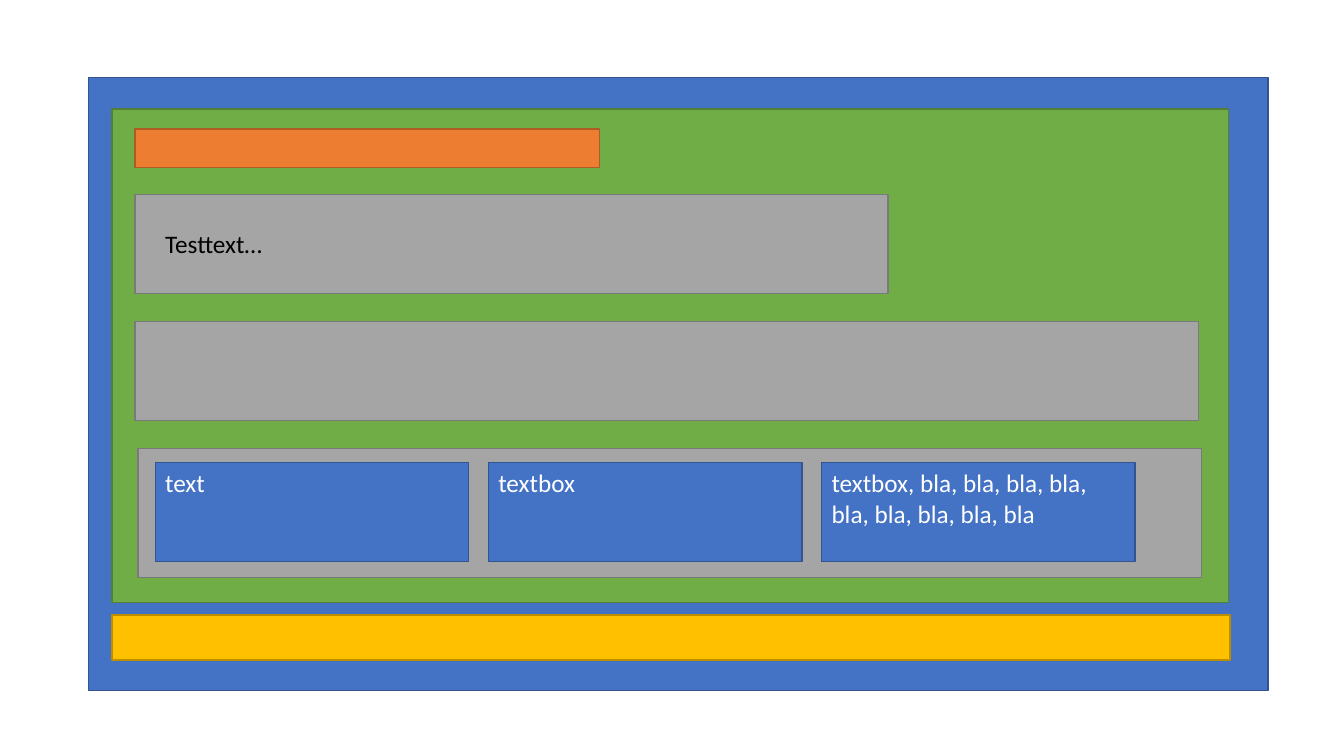
from dataclasses import dataclass

from pptx import Presentation
from pptx.dml.color import RGBColor
from pptx.enum.shapes import MSO_SHAPE
from pptx.enum.text import MSO_ANCHOR, MSO_AUTO_SIZE, PP_ALIGN
from pptx.util import Inches, Pt


@dataclass(frozen=True)
class Theme:
    """Colours as fill and line pairs, and type."""
    blue: tuple = ("4472C4", "325491")
    green: tuple = ("70AD47", "538035")
    grey: tuple = ("A5A5A5", "7A7A7A")
    gold: tuple = ("FFC000", "BD8E00")
    orange: tuple = ("ED7D31", "AF5C24")
    white: str = "FFFFFF"
    black: str = "000000"
    font: str = "Calibri"
    size: int = 18
    line: int = 1


THEME = Theme()
WIDE, HIGH = Inches(13.33), Inches(7.5)
LEFT, INNER = 10.05, 11.55
ROW_TOP, ROW_STEP, ROW_HIGH = 25.73, 16.8, 13.07
CARD_TOP, CARD_STEP, CARD_WIDE = 61.2, 24.79, 23.33
CARDS = ("text", "textbox",
         "textbox, bla, bla, bla, bla, bla, bla, bla, bla, bla")


def place(left, top, width, height):
    """Turn percentages of the slide into lengths."""
    return (round(WIDE * left / 100), round(HIGH * top / 100),
            round(WIDE * width / 100), round(HIGH * height / 100))


def write(frame, text, color=THEME.white, size=THEME.size,
          align=PP_ALIGN.LEFT, anchor=MSO_ANCHOR.TOP):
    """Put formatted, wrapped text into a frame."""
    frame.word_wrap = True
    frame.vertical_anchor = anchor
    para = frame.paragraphs[0]
    para.alignment = align
    run = para.add_run()
    run.text = text
    run.font.name = THEME.font
    run.font.size = Pt(size)
    run.font.color.rgb = RGBColor.from_string(color)


def block(slide, area, tone):
    """Draw a flat rectangle with a thin outline."""
    shape = slide.shapes.add_shape(MSO_SHAPE.RECTANGLE, *place(*area))
    fill, line = tone
    shape.shadow.inherit = False
    shape.fill.solid()
    shape.fill.fore_color.rgb = RGBColor.from_string(fill)
    shape.line.color.rgb = RGBColor.from_string(line)
    shape.line.width = Pt(THEME.line)
    return shape


def label(slide, area, text, **style):
    """Add a text box that grows with its text."""
    frame = slide.shapes.add_textbox(*place(*area)).text_frame
    write(frame, text, **style)
    frame.auto_size = MSO_AUTO_SIZE.SHAPE_TO_FIT_TEXT


def cards(slide):
    """Set the text cards side by side."""
    for col, text in enumerate(CARDS):
        area = (INNER + col * CARD_STEP, CARD_TOP, CARD_WIDE, ROW_HIGH)
        write(block(slide, area, THEME.blue).text_frame, text)


def main():
    """Build the layout sketch and save it."""
    deck = Presentation()
    deck.slide_width, deck.slide_height = WIDE, HIGH
    slide = deck.slides.add_slide(deck.slide_layouts[6])
    rows = [ROW_TOP + n * ROW_STEP for n in range(3)]
    block(slide, (6.6, 10.27, 87.75, 81.07), THEME.blue)
    block(slide, (8.33, 14.4, 83.1, 65.33), THEME.green)
    block(slide, (LEFT, rows[0], 56.03, ROW_HIGH), THEME.grey)
    block(slide, (LEFT, rows[1], 79.13, ROW_HIGH), THEME.grey)
    block(slide, (8.33, 81.33, 83.18, 6), THEME.gold)
    block(slide, (LEFT, 17.07, 34.58, 5.07), THEME.orange)
    label(slide, (INNER, 29.6, 51.9, 5.33), "Testtext…", color=THEME.black)
    block(slide, (10.28, rows[2], 79.13, 17.07), THEME.grey)
    cards(slide)
    deck.save("out.pptx")


main()
